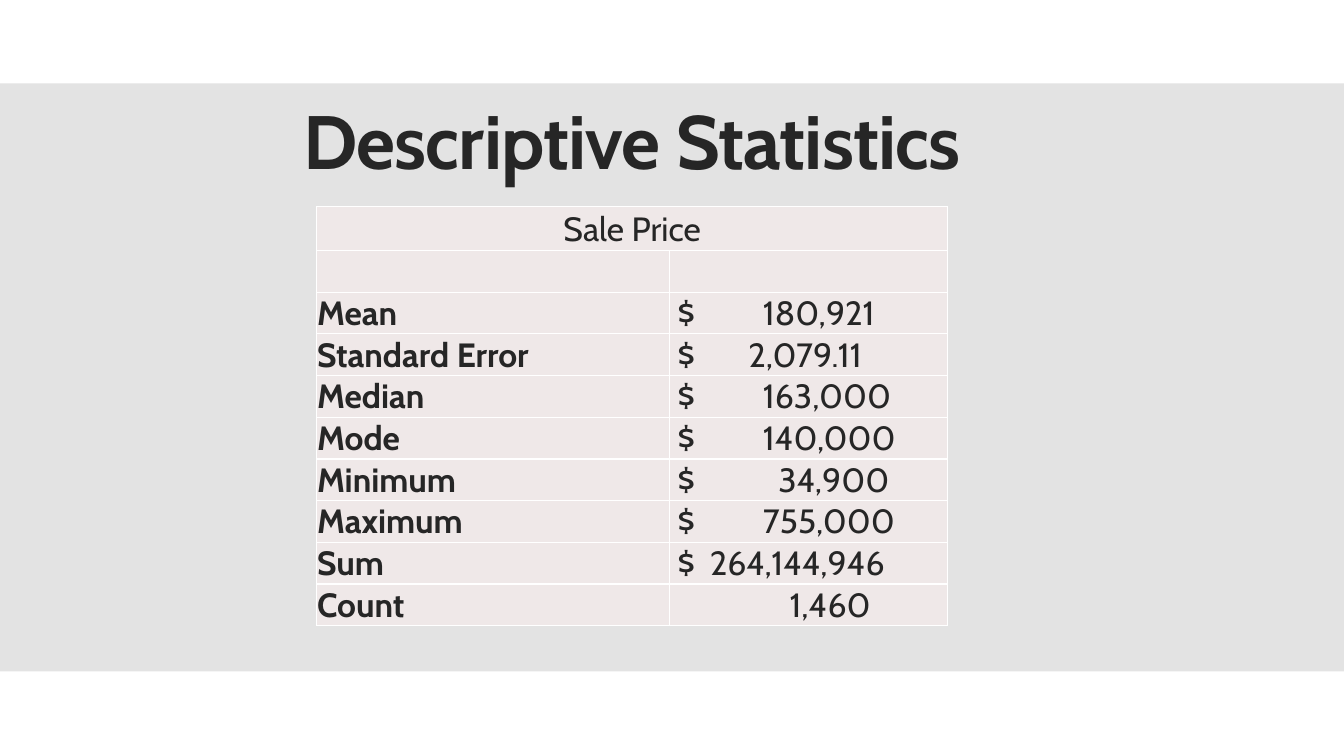
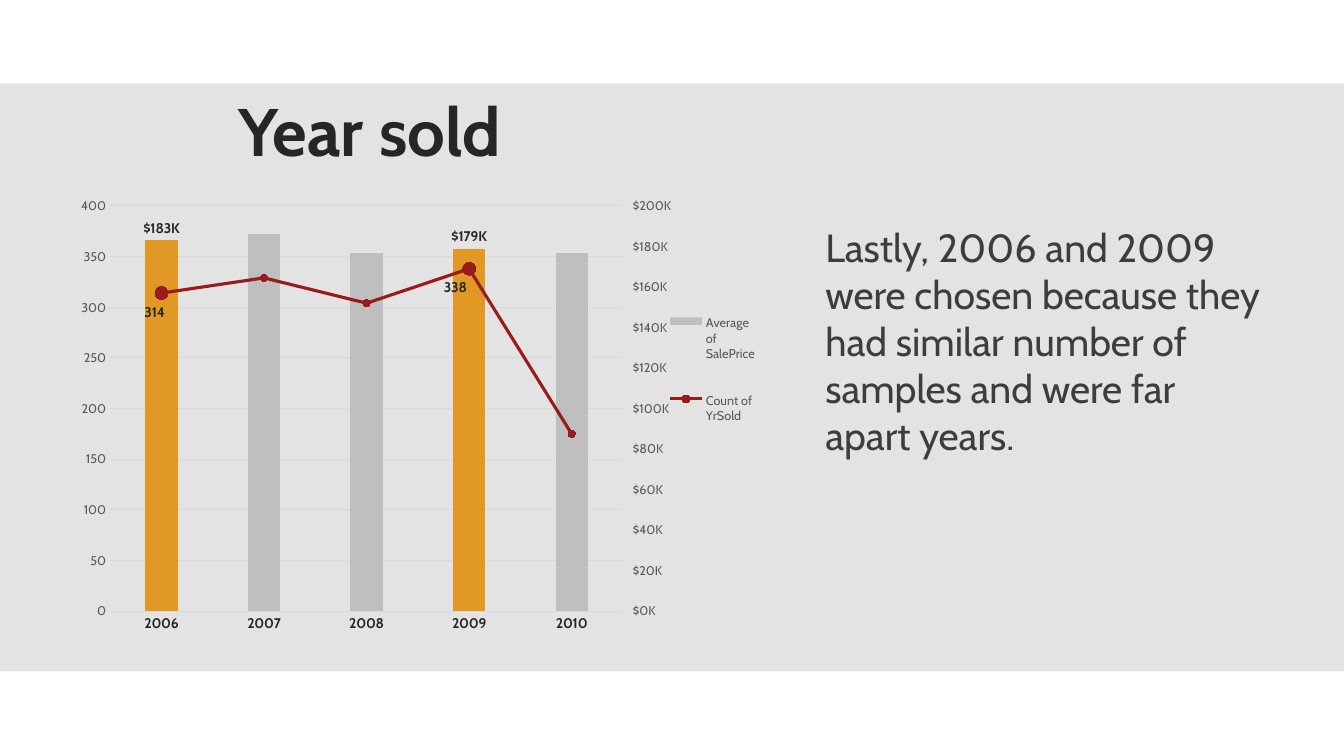
import copy

import pptx
import pptx.chart.axis
import pptx.chart.data
import pptx.dml.color
import pptx.enum.chart
import pptx.enum.shapes
import pptx.enum.text
import pptx.oxml
import pptx.oxml.ns
import pptx.util

Pt = pptx.util.Pt
qn = pptx.oxml.ns.qn
ALIGN = pptx.enum.text.PP_ALIGN
ANCHOR = pptx.enum.text.MSO_ANCHOR
LABEL = pptx.enum.chart.XL_LABEL_POSITION
TICK = pptx.enum.chart.XL_TICK_MARK

FONT = "Cabin"
COLORS = {
    "band": "E3E3E3", "ink": "262626", "body": "3D3D3D", "axis": "595959",
    "cell": "EFE8E8", "white": "FFFFFF", "grid": "D9D9D9",
    "bar": "BFBFBF", "highlight": "E19825", "line": "991B1B",
}
DOLLARS_K = '"$"#,##0,"K"'
SALE_YEARS = ["2006", "2007", "2008", "2009", "2010"]
AVERAGE_PRICES = [183000, 186000, 177000, 179000, 177000]
SALE_COUNTS = [314, 329, 304, 338, 175]
CHOSEN_YEARS = [0, 3]

# Label, amount, start of the amount within its cell
STATISTICS = [
    ("Mean", "$\t180,921", 61),
    ("Standard Error", "$\t2,079.11", 50.5),
    ("Median", "$\t163,000", 61),
    ("Mode", "$\t140,000", 61),
    ("Minimum", "$\t34,900", 72),
    ("Maximum", "$\t755,000", 61),
    ("Sum", "$\t264,144,946", 23),
    ("Count", "1,460", 80),
]


def rgb(name):
    return pptx.dml.color.RGBColor.from_string(COLORS[name])


def style_font(font, size, color, bold=False):
    font.name, font.size, font.bold = FONT, Pt(size), bold
    font.color.rgb = rgb(color)


def fill_with(fmt, color):
    fmt.fill.solid()
    fmt.fill.fore_color.rgb = rgb(color)


def add_element(parent, tag, index=None, **attrs):
    el = pptx.oxml.parse_xml(f'<{tag} {pptx.oxml.ns.nsdecls(tag.split(":")[0])}/>')
    for key, value in attrs.items():
        el.set(key, str(value))
    parent.insert(len(parent) if index is None else index, el)
    return el


def add_banded_slide(prs):
    """Blank slide with the wide grey band."""
    s = prs.slides.add_slide(prs.slide_layouts[6])
    sp = s.shapes.add_shape(pptx.enum.shapes.MSO_SHAPE.RECTANGLE,
                            0, Pt(59.6), prs.slide_width, Pt(420))
    sp.shadow.inherit = False
    fill_with(sp, "band")
    sp.line.fill.background()
    return s


def add_text(s, box, text, size, color, bold=False, align=ALIGN.LEFT, anchor=ANCHOR.TOP):
    sp = s.shapes.add_textbox(*map(Pt, box))
    tf = sp.text_frame
    tf.word_wrap, tf.vertical_anchor = True, anchor
    p = tf.paragraphs[0]
    p.text, p.alignment = text, align
    style_font(p.font, size, color, bold)
    return sp


def add_title(s, box, text, size, anchor=ANCHOR.TOP):
    return add_text(s, box, text, size, "ink", True, ALIGN.CENTER, anchor)


# Statistics table
def set_cell(cell, text="", bold=False, align=ALIGN.LEFT):
    cell.margin_left = cell.margin_right = cell.margin_top = Pt(0.5)
    cell.margin_bottom = 0
    cell.vertical_anchor = ANCHOR.BOTTOM
    fill_with(cell, "cell")
    tcPr = cell._tc.get_or_add_tcPr()
    for i, side in enumerate(("a:lnL", "a:lnR", "a:lnT", "a:lnB")):
        ln = add_element(tcPr, side, i, w=Pt(1))
        add_element(add_element(ln, "a:solidFill"), "a:srgbClr", val=COLORS["white"])
    p = cell.text_frame.paragraphs[0]
    p.text, p.alignment = text, align
    style_font(p.font, 24, "ink", bold)
    return p


def set_amount(cell, text, start):
    """Dollar sign at the left, amount at its own tab stop."""
    pPr = set_cell(cell, text)._p.get_or_add_pPr()
    cell.margin_left = Pt(6)
    if "\t" in text:
        add_element(add_element(pPr, "a:tabLst", 0), "a:tab", pos=Pt(start), algn="l")
    else:
        pPr.set("indent", str(Pt(start)))


def add_statistics_table(s, box):
    left, top, width, height = box
    n = len(STATISTICS) + 2
    table = s.shapes.add_table(n, 2, *map(Pt, box)).table
    table.first_row = table.horz_banding = False
    label_width = 252
    table.columns[0].width = Pt(label_width)
    table.columns[1].width = Pt(width - label_width)
    head = 31.4
    for i, row in enumerate(table.rows):
        row.height = Pt((height - head) / (n - 1) if i else head)
    for r in range(2):
        for c in range(2):
            set_cell(table.cell(r, c))
    table.cell(0, 0).merge(table.cell(0, 1))
    p = table.cell(0, 0).text_frame.paragraphs[0]
    p.text, p.alignment = "Sale Price", ALIGN.CENTER
    for r, (label, amount, start) in enumerate(STATISTICS, 2):
        set_cell(table.cell(r, 0), label, True)
        set_amount(table.cell(r, 1), amount, start)


# Combined chart
def set_layout(parent, index, x, y, w, h, inner=False):
    for old in parent.findall(qn("c:layout")):
        parent.remove(old)
    manual = add_element(add_element(parent, "c:layout", index), "c:manualLayout")
    if inner:
        add_element(manual, "c:layoutTarget", val="inner")
    for tag in ("c:xMode", "c:yMode"):
        add_element(manual, tag, val="edge")
    for tag, value in zip("xywh", (x, y, w, h)):
        add_element(manual, "c:" + tag, val=value)


def split_line_plot(plot_area):
    """Move the second series to a line plot; give the bars their own axes."""
    bars = plot_area.find(qn("c:barChart"))
    ser = bars.findall(qn("c:ser"))[1]
    inverted = ser.find(qn("c:invertIfNegative"))
    if inverted is not None:
        ser.remove(inverted)
    lines = add_element(plot_area, "c:lineChart", plot_area.index(bars) + 1)
    add_element(lines, "c:grouping", val="standard")
    add_element(lines, "c:varyColors", val=0)
    lines.append(ser)
    add_element(lines, "c:marker", val=1)
    new_ids = {}
    for ax, new_id in zip(bars.findall(qn("c:axId")), ("5001", "5002")):
        lines.append(copy.deepcopy(ax))
        new_ids[ax.get("val")] = new_id
        ax.set("val", new_id)
    cat, val = plot_area.find(qn("c:catAx")), plot_area.find(qn("c:valAx"))
    price, hidden = copy.deepcopy(val), copy.deepcopy(cat)
    for ax in (price, hidden):
        for tag in ("c:axId", "c:crossAx"):
            el = ax.find(qn(tag))
            el.set("val", new_ids[el.get("val")])
    val.addnext(price)
    price.addnext(hidden)
    price.find(qn("c:axPos")).set("val", "r")
    price.find(qn("c:crosses")).set("val", "max")
    pptx.chart.axis.CategoryAxis(hidden).visible = False
    return pptx.chart.axis.ValueAxis(price)


def style_value_axis(axis, top, step, number_format, tick):
    axis.minimum_scale, axis.maximum_scale, axis.major_unit = 0, top, step
    axis.major_tick_mark = tick
    axis.minor_tick_mark = TICK.NONE
    axis.format.line.fill.background()
    labels = axis.tick_labels
    labels.number_format, labels.number_format_is_linked = number_format, False
    style_font(labels.font, 9, "axis")


def label_point(point, position):
    style_font(point.data_label.font, 10, "ink", True)
    point.data_label.position = position


def add_year_chart(s, box):
    data = pptx.chart.data.CategoryChartData()
    data.categories = SALE_YEARS
    data.add_series("Average of SalePrice", AVERAGE_PRICES, DOLLARS_K)
    data.add_series("Count of YrSold", SALE_COUNTS, "General")
    chart = s.shapes.add_chart(pptx.enum.chart.XL_CHART_TYPE.COLUMN_CLUSTERED,
                               *map(Pt, box), data).chart
    chart.has_title = False
    style_font(chart.font, 10, "ink")
    plot_area = chart.element.find(".//" + qn("c:plotArea"))
    count_axis = chart.value_axis
    price_axis = split_line_plot(plot_area)
    set_layout(plot_area, 0, 0.06, 0.04, 0.74, 0.88, inner=True)

    # Axes
    style_value_axis(count_axis, 400, 50, "General", TICK.NONE)
    style_value_axis(price_axis, 200000, 20000, DOLLARS_K, TICK.OUTSIDE)
    price_axis.has_major_gridlines = False
    count_axis.has_major_gridlines = True
    years = chart.category_axis
    years.major_tick_mark = TICK.NONE
    style_font(years.tick_labels.font, 10, "ink", True)
    for line in (count_axis.major_gridlines.format.line, years.format.line):
        line.color.rgb = rgb("grid")
        line.width = Pt(0.75)

    # Bars and line
    bar_plot, line_plot = chart.plots
    bar_plot.vary_by_categories = False
    bar_plot.gap_width = 219
    prices, counts = bar_plot.series[0], line_plot.series[0]
    fill_with(prices.format, "bar")
    counts.smooth = False
    counts.format.line.color.rgb = rgb("line")
    counts.format.line.width = Pt(2.25)

    def style_marker(marker, size):
        marker.style = pptx.enum.chart.XL_MARKER_STYLE.CIRCLE
        marker.size = size
        fill_with(marker.format, "line")
        marker.format.line.color.rgb = rgb("line")

    style_marker(counts.marker, 5)
    for i in CHOSEN_YEARS:
        fill_with(prices.points[i].format, "highlight")
        label_point(prices.points[i], LABEL.OUTSIDE_END)
        style_marker(counts.points[i].marker, 9)
        counts.points[i].format.line.color.rgb = rgb("line")
        counts.points[i].format.line.width = Pt(2.25)
        label_point(counts.points[i], LABEL.BELOW)
    for label in plot_area.find(qn("c:barChart")).iter(qn("c:dLbl")):
        add_element(label, "c:numFmt", 1, formatCode=DOLLARS_K, sourceLinked=0)
    # Shift the count labels left, clear of the line
    count_labels = plot_area.find(qn("c:lineChart")).iter(qn("c:dLbl"))
    for label, shift in zip(count_labels, (-0.01, -0.02)):
        manual = add_element(add_element(label, "c:layout", 1), "c:manualLayout")
        add_element(manual, "c:x", val=shift)
        add_element(manual, "c:y", val=0)

    # Legend
    chart.has_legend = True
    legend = chart.legend
    legend.position = pptx.enum.chart.XL_LEGEND_POSITION.RIGHT
    legend.include_in_layout = False
    style_font(legend.font, 9, "axis")
    set_layout(chart.element.find(".//" + qn("c:legend")), 1, 0.87, 0.21, 0.13, 0.37)


def build_statistics_slide(prs):
    s = add_banded_slide(prs)
    sp = add_title(s, (0, 77.5, 903, 52), "Descriptive Statistics", 54, ANCHOR.MIDDLE)
    sp.text_frame.paragraphs[0].line_spacing = 0.9
    for props in sp.element.iter(qn("a:defRPr")):
        props.set("spc", "-60")
    add_statistics_table(s, (226, 147.5, 451, 299.6))


def build_year_slide(prs):
    s = add_banded_slide(prs)
    add_title(s, (48.5, 60.5, 431, 65.5), "Year sold", 48)
    add_year_chart(s, (49, 134, 495, 329))
    add_text(s, (582.5, 156, 329, 177),
             "Lastly, 2006 and 2009 were chosen because they had similar number "
             "of samples and were far apart years.", 28, "body")


def main():
    prs = pptx.Presentation()
    prs.slide_width, prs.slide_height = Pt(960), Pt(540)
    build_statistics_slide(prs)
    build_year_slide(prs)
    prs.save("out.pptx")


if __name__ == "__main__":
    main()
